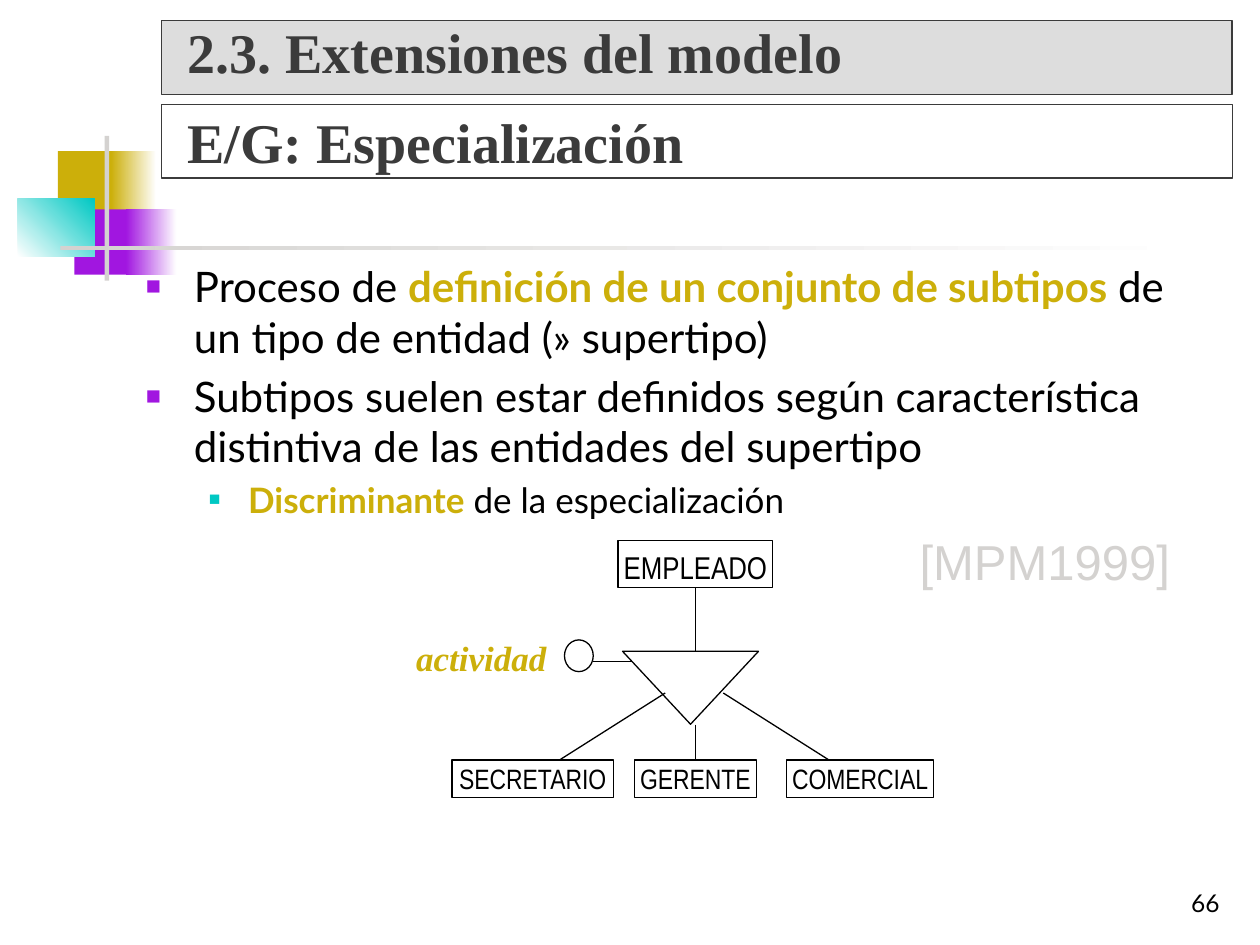
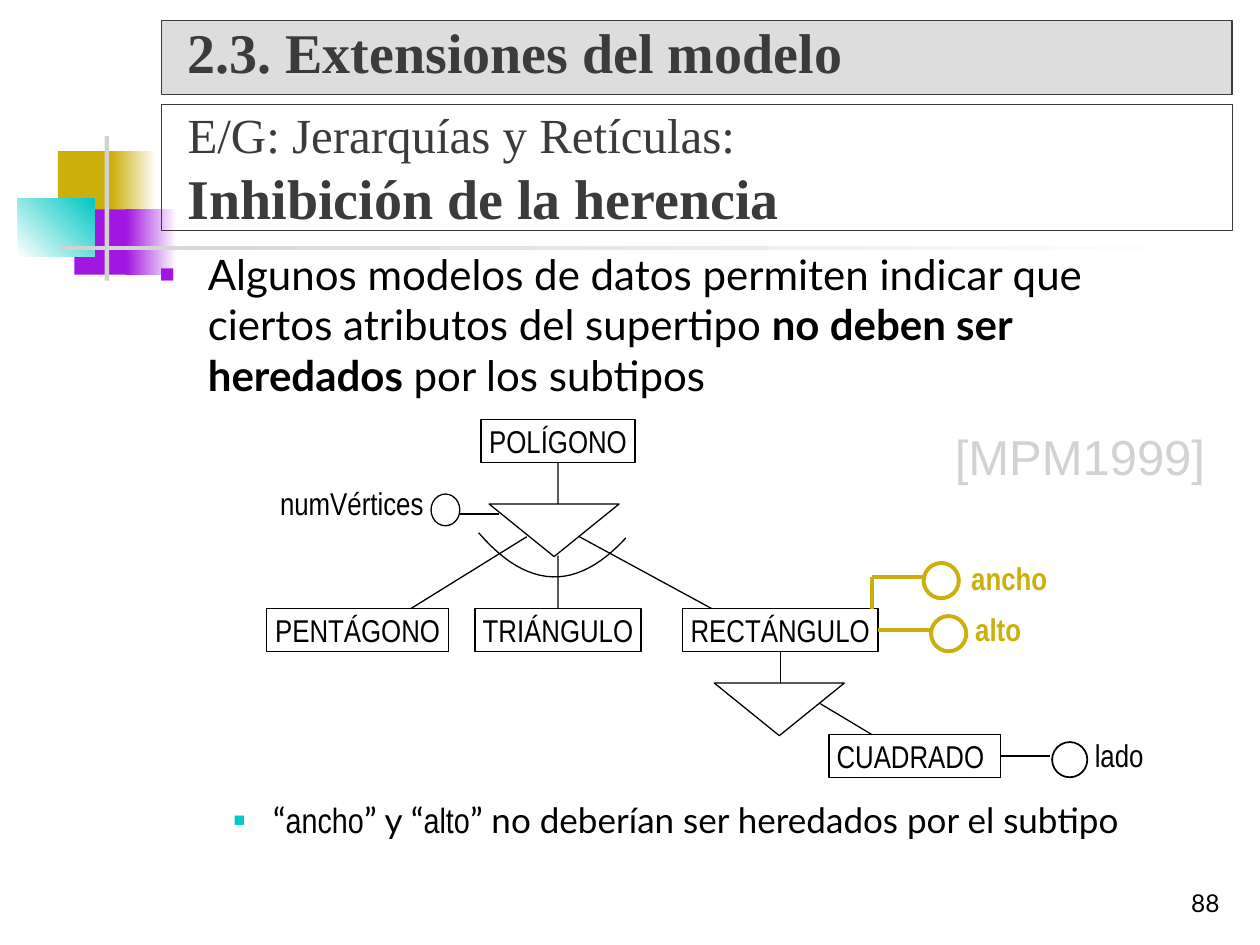
import dataclasses

import lxml.etree
import pptx
import pptx.dml.color
import pptx.enum.shapes
import pptx.enum.text
import pptx.oxml.ns
import pptx.util

Cm = pptx.util.Cm
Pt = pptx.util.Pt
Kind = pptx.enum.shapes.MSO_SHAPE
Align = pptx.enum.text.PP_ALIGN
Anchor = pptx.enum.text.MSO_ANCHOR
qn = pptx.oxml.ns.qn


@dataclasses.dataclass(frozen=True)
class Theme:
    gold: str = "CCAF0A"
    plum: str = "A116E0"
    teal: str = "00C8C3"
    grey: str = "D4D2D0"
    band: str = "DDDDDD"
    dark: str = "3B3B3B"
    black: str = "000000"
    white: str = "FFFFFF"
    serif: str = "Times New Roman"
    sans: str = "Lato"
    slim: str = "Arial Narrow"
    plain: str = "Arial"
    head: int = 32
    sub: int = 28
    list: int = 24
    item: int = 20
    node: int = 18
    leaf: int = 16
    page: int = 14
    thin: float = 0.75
    thick: float = 2.25


T = Theme()
HEAD = dict(font=T.serif, size=T.head, color=T.dark)
TIGHT = (0.15, 0.03, 0.15, 0.03)
LOOSE = (0, 0.13, 0, 0.03)


def rgb(code):
    return pptx.dml.color.RGBColor.from_string(code)


def put(par, text, font=T.sans, size=T.list, color=T.black, bold=False, slant=False):
    run = par.add_run()
    run.text = text
    run.font.name = font
    run.font.size = Pt(size)
    run.font.color.rgb = rgb(color)
    run.font.bold = bold
    run.font.italic = slant


def paint(shape, fill=None, edge=None, width=T.thin, angle=0):
    if fill is None:
        shape.fill.background()
    elif isinstance(fill, tuple):
        shape.fill.gradient()
        shape.fill.gradient_angle = angle
        for stop, code in zip(shape.fill.gradient_stops, fill):
            stop.color.rgb = rgb(code)
    else:
        shape.fill.solid()
        shape.fill.fore_color.rgb = rgb(fill)
    if edge:
        shape.line.color.rgb = rgb(edge)
        shape.line.width = Pt(width)
    else:
        shape.line.fill.background()


def draw(slide, kind, place, **look):
    shape = slide.shapes.add_shape(kind, *map(Cm, place))
    shape.shadow.inherit = False
    paint(shape, **look)
    return shape


def move(shape, place):
    shape.left, shape.top, shape.width, shape.height = map(Cm, place)


def setup(shape, pad=(0.25, 0.13, 0.25, 0.13), anchor=Anchor.TOP, wrap=True, align=Align.LEFT):
    frame = shape.text_frame
    frame.auto_size = pptx.enum.text.MSO_AUTO_SIZE.NONE
    frame.word_wrap = wrap
    frame.vertical_anchor = anchor
    (frame.margin_left, frame.margin_top,
     frame.margin_right, frame.margin_bottom) = map(Cm, pad)
    par = frame.paragraphs[0]
    par.alignment = align
    return par


def label(slide, text, place, pad=TIGHT, wrap=False, align=Align.LEFT, anchor=Anchor.TOP, **look):
    shape = slide.shapes.add_textbox(*map(Cm, place))
    put(setup(shape, pad, anchor, wrap, align), text, **look)


def box(slide, text, mid, top, wide, tall=0.86, size=T.node, pad=TIGHT, align=Align.CENTER):
    shape = draw(slide, Kind.RECTANGLE, (mid - wide / 2, top, wide, tall),
                 fill=T.white, edge=T.black)
    par = setup(shape, pad, Anchor.MIDDLE, align == Align.LEFT, align)
    put(par, text, font=T.slim, size=size)
    return shape


def line(slide, start, end, color=T.black, width=T.thin):
    spots = [(0, 0) if hasattr(spot[0], "shape_id") else spot for spot in (start, end)]
    link = slide.shapes.add_connector(
        pptx.enum.shapes.MSO_CONNECTOR.STRAIGHT,
        *[Cm(value) for spot in spots for value in spot])
    for spot, join in ((start, link.begin_connect), (end, link.end_connect)):
        if hasattr(spot[0], "shape_id"):
            join(*spot)
    link.line.color.rgb = rgb(color)
    link.line.width = Pt(width)
    lxml.etree.SubElement(link.element.spPr, qn("a:effectLst"))


def ring(slide, place, color=T.black, width=T.thin):
    draw(slide, Kind.OVAL, place, fill=T.white, edge=color, width=width)


def wedge(slide, place):
    draw(slide, Kind.ISOSCELES_TRIANGLE, place, edge=T.black).rotation = 180


def arc(slide, left, right, mid, low, bend):
    steps = 24
    spots = []
    for step in range(steps + 1):
        x = left + (right - left) * step / steps
        spots.append((Cm(x), Cm(low - bend * (x - mid) ** 2)))
    pen = slide.shapes.build_freeform(*spots[0])
    pen.add_line_segments(spots[1:], close=False)
    shape = pen.convert_to_shape()
    shape.shadow.inherit = False
    paint(shape, edge=T.black)


def bullet(par, color, share, left, hang):
    props = par._p.get_or_add_pPr()
    props.set("marL", str(Cm(left)))
    props.set("indent", str(-Cm(hang)))
    tint = lxml.etree.SubElement(props, qn("a:buClr"))
    lxml.etree.SubElement(tint, qn("a:srgbClr"), val=color)
    lxml.etree.SubElement(props, qn("a:buSzPct"), val=str(share * 1000))
    lxml.etree.SubElement(props, qn("a:buFont"), typeface=T.plain)
    lxml.etree.SubElement(props, qn("a:buChar"), char="■")


def points(slide, place, items, inner):
    body = slide.placeholders[1]
    move(body, place)
    par = setup(body)
    for rank, (level, gap, runs) in enumerate(items):
        if rank:
            par = body.text_frame.add_paragraph()
        par.level = level
        if level:
            bullet(par, T.teal, 55, inner, 0.79)
        else:
            bullet(par, T.plum, 60, 0.97, 0.97)
        par.space_before = Pt(gap)
        for text, look in runs:
            put(par, text, size=T.item if level else T.list, **look)


def decor(slide, layout):
    parts = [
        ((1.17, 3.05, 1.22, 1.32), T.gold, 0),
        ((2.24, 3.05, 0.91, 1.32), (T.gold, T.white), 0),
        ((1.5, 4.22, 1.17, 1.32), T.plum, 0),
        ((2.54, 4.22, 1.02, 1.32), (T.plum, T.white), 0),
        ((0.36, 4.01, 1.55, 1.17), (T.white, T.teal), 45),
        ((2.11, 2.74, 0.09, 2.92), T.grey, 0),
        ((1.22, 4.95, 22.86, 0.09), (T.grey, T.white), 0),
    ]
    for place, fill, angle in parts:
        shape = draw(slide, Kind.RECTANGLE, place, fill=fill, angle=angle)
        layout.shapes.element.append(shape.element)


def indent(par):
    par._p.get_or_add_pPr().set("marL", str(Cm(0.28)))
    par._p.get_or_add_pPr().set("indent", "0")


def start(deck, layout, page, tall):
    slide = deck.slides.add_slide(layout)
    band = draw(slide, Kind.RECTANGLE, (3.25, 0.42, 21.59, 1.48), fill=T.band, edge=T.dark)
    par = setup(band, anchor=Anchor.MIDDLE)
    indent(par)
    par.line_spacing = 0.8
    put(par, "2.3. Extensiones del modelo", bold=True, **HEAD)
    title = slide.shapes.title
    move(title, (3.25, 2.11, 21.59, tall))
    paint(title, edge=T.dark)
    par = setup(title, anchor=Anchor.MIDDLE)
    indent(par)
    label(slide, page, (19.56, 17.35, 5.28, 1.27), pad=(0.25, 0.13, 0.25, 0.13),
          wrap=True, align=Align.RIGHT, anchor=Anchor.BOTTOM, size=T.page)
    return slide, par


def cite(slide, left, top):
    label(slide, "[MPM1999]", (left, top, 5.05, 1.35), pad=LOOSE,
          font=T.plain, size=T.sub, color=T.grey)


def staff(deck, layout):
    slide, par = start(deck, layout, "66", 1.48)
    decor(slide, layout)
    put(par, "E/G: Especialización", bold=True, **HEAD)
    strong = dict(color=T.gold, bold=True)
    points(slide, (2.69, 5.13, 22.02, 6.15), [
        (0, 0, [("Proceso de ", {}),
                ("definición de un conjunto de subtipos", strong),
                (" de un tipo de entidad (» supertipo)", {})]),
        (0, 5, [("Subtipos suelen estar definidos según característica "
                 "distintiva de las entidades del supertipo", {})]),
        (1, 4, [("Discriminante", strong), (" de la especialización", {})]),
    ], 2.06)
    axis = 14.02
    root = box(slide, "EMPLEADO", axis, 10.9, 3.12, 0.94, pad=(0.1, 0.13, 0.1, 0.03))
    leaves = [box(slide, text, mid, 15.32, wide, 0.76, T.leaf, (0.1, 0.03, 0.1, 0.03))
              for text, mid, wide in (("SECRETARIO", 10.74, 3.25),
                                      ("GERENTE", axis, 2.46),
                                      ("COMERCIAL", 17.34, 2.97))]
    wedge(slide, (12.55, 13.13, 2.74, 1.47))
    line(slide, (root, 2), (axis, 13.13))
    line(slide, (axis, 14.61), (leaves[1], 0))
    line(slide, (13.41, 13.97), (11.28, 15.32))
    line(slide, (14.58, 13.97), (16.71, 15.32))
    line(slide, (11.96, 13.34), (12.75, 13.34))
    ring(slide, (11.38, 12.9, 0.58, 0.64))
    label(slide, "actividad", (7.98, 12.7, 3.45, 1.02), pad=LOOSE, align=Align.CENTER,
          font=T.serif, size=T.item, color=T.gold, bold=True, slant=True)
    cite(slide, 18.54, 10.59)


def figures(deck, layout):
    slide, par = start(deck, layout, "88", 2.54)
    put(par, "E/G: Jerarquías y Retículas:", **{**HEAD, "size": T.sub})
    par.add_line_break()
    put(par, "Inhibición de la herencia", bold=True, **HEAD)
    slim = dict(font=T.slim)
    points(slide, (2.97, 4.88, 21.74, 13.13), [
        (0, 0, [("Algunos modelos de datos permiten indicar que ciertos "
                 "atributos del supertipo ", {}),
                ("no deben ser heredados", dict(bold=True)),
                (" por los subtipos", {})]),
        (1, 228, [("“", {}), ("ancho", slim), ("” y “", {}), ("alto", slim),
                  ("” no deberían ser heredados por el subtipo", {})]),
    ], 2.28)
    axis, side, row = 11.25, 15.73, 12.27
    root = box(slide, "POLÍGONO", axis, 8.46, 3.1)
    box(slide, "PENTÁGONO", 7.21, row, 3.66)
    three = box(slide, "TRIÁNGULO", axis, row, 3.35)
    four = box(slide, "RECTÁNGULO", side, row, 3.94)
    square = box(slide, "CUADRADO", 18.44, 14.81, 3.45, align=Align.LEFT)
    wedge(slide, (9.86, 10.16, 2.62, 1.06))
    wedge(slide, (14.4, 13.77, 2.62, 1.06))
    arc(slide, 9.65, 12.62, 11.18, 11.63, 0.38)
    for begin, end in (((root, 2), (axis, 10.16)),
                       ((axis, 11.2), (three, 0)),
                       ((10.62, 10.82), (8.28, row)),
                       ((11.68, 10.82), (14.35, row)),
                       ((9.27, 10.36), (10.06, 10.36)),
                       ((four, 2), (side, 13.77)),
                       ((16.51, 14.17), (17.58, 14.81)),
                       ((square, 3), (21.16, 15.24))):
        line(slide, begin, end)
    for begin, end in (((four, 3), (18.85, 12.7)),
                       ((17.58, 11.63), (18.62, 11.63)),
                       ((17.58, row), (17.58, 11.63))):
        line(slide, begin, end, T.gold, T.thick)
    ring(slide, (8.69, 9.96, 0.58, 0.64))
    ring(slide, (18.77, 12.42, 0.71, 0.71), T.gold, T.thick)
    ring(slide, (18.62, 11.35, 0.71, 0.71), T.gold, T.thick)
    ring(slide, (21.21, 14.96, 0.71, 0.71), width=1)
    name = dict(font=T.slim, size=T.node)
    label(slide, "numVértices", (5.49, 9.73, 3.2, 0.81), align=Align.RIGHT, **name)
    label(slide, "lado", (21.92, 14.81, 1.3, 0.81), **name)
    for text, left, top, wide in (("ancho", 19.43, 11.23, 2.16), ("alto", 19.51, row, 1.68)):
        label(slide, text, (left, top, wide, 0.81), wrap=True, color=T.gold, bold=True, **name)
    cite(slide, 19.25, 8.46)


def main():
    deck = pptx.Presentation()
    deck.slide_width, deck.slide_height = Cm(25.4), Cm(19.05)
    layout = deck.slide_layouts[1]
    staff(deck, layout)
    figures(deck, layout)
    deck.save("out.pptx")


if __name__ == "__main__":
    main()
